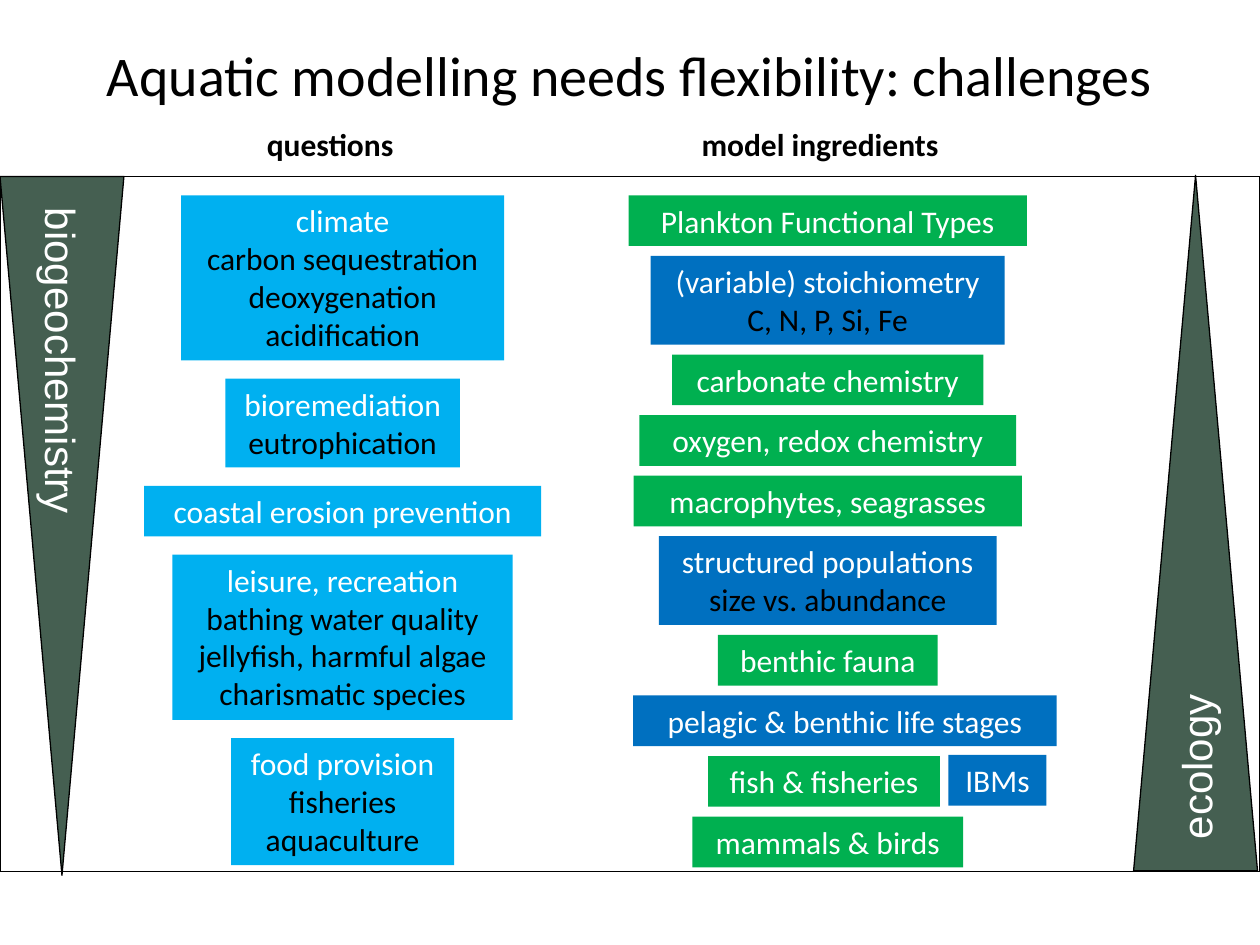
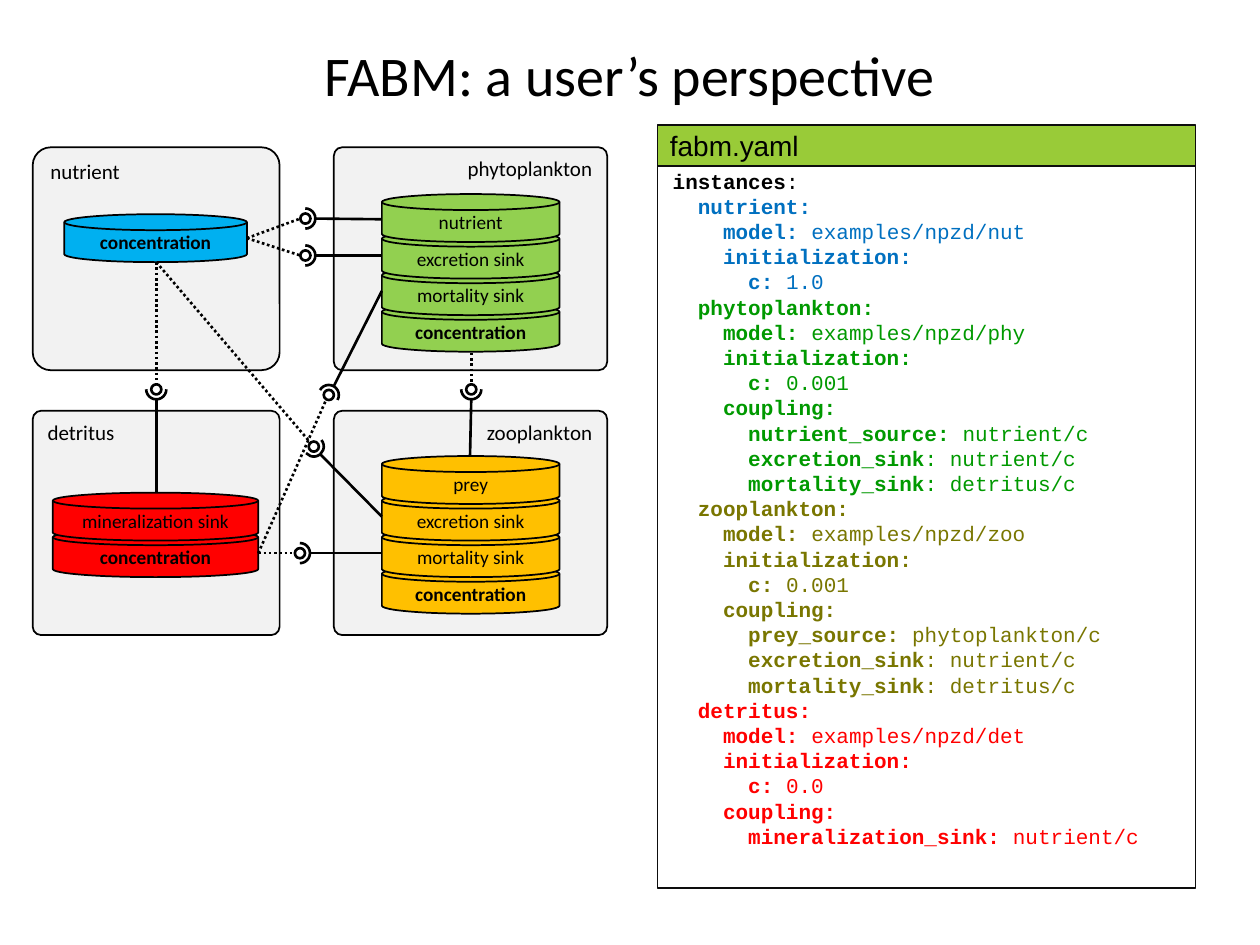
from math import cos, radians, sin

from lxml.etree import SubElement
from pptx import Presentation
from pptx.dml.color import RGBColor
from pptx.enum.dml import MSO_LINE
from pptx.enum.shapes import MSO_CONNECTOR, MSO_SHAPE
from pptx.enum.text import MSO_ANCHOR, PP_ALIGN
from pptx.oxml.ns import qn
from pptx.util import Pt

BLACK, WHITE = "000000", "FFFFFF"
SKY, GREEN, BLUE, PINE = "00B0F0", "00B050", "0070C0", "455F51"
LIME, AMBER, RED, CARD = "92D050", "FFC000", "FF0000", "F2F2F2"
HEADER, PANEL_LINE = "99CB38", "0D0D0D"
LEFT, CENTER, RIGHT = PP_ALIGN.LEFT, PP_ALIGN.CENTER, PP_ALIGN.RIGHT

QUESTIONS = [
    (184.5, ["climate", "carbon sequestration", "deoxygenation", "acidification"]),
    (134, ["bioremediation", "eutrophication"]),
    (226.8, ["coastal erosion prevention"]),
    (194.4, ["leisure, recreation", "bathing water quality",
             "jellyfish, harmful algae", "charismatic species"]),
    (127.5, ["food provision", "fisheries", "aquaculture"]),
]

INGREDIENTS = [
    (473, 227.5, GREEN, ["Plankton Functional Types"]),
    (473, 202.3, BLUE, ["(variable) stoichiometry", "C, N, P, Si, Fe"]),
    (473, 178, GREEN, ["carbonate chemistry"]),
    (473, 215.3, GREEN, ["oxygen, redox chemistry"]),
    (473, 221.8, GREEN, ["macrophytes, seagrasses"]),
    (473, 193, BLUE, ["structured populations", "size vs. abundance"]),
    (473, 125.5, GREEN, ["benthic fauna"]),
    (482.8, 242, BLUE, ["pelagic & benthic life stages"]),
    (470.9, 132.5, GREEN, ["fish & fisheries"]),
    (473, 154.8, GREEN, ["mammals & birds"]),
]

# Bold key and regular value are parted by a bar.
YAML = [
    (BLACK, "instances|:"),
    (BLUE, """\
  nutrient:
    model:| examples/npzd/nut
    initialization:
      c:| 1.0"""),
    ("009900", """\
  phytoplankton:
    model:| examples/npzd/phy
    initialization:
      c:| 0.001
    coupling:
      nutrient_source:| nutrient/c
      excretion_sink|: nutrient/c
      mortality_sink|: detritus/c"""),
    ("797600", """\
  zooplankton:
    model:| examples/npzd/zoo
    initialization:
      c:| 0.001
    coupling:
      prey_source:| phytoplankton/c
      excretion_sink|: nutrient/c
      mortality_sink|: detritus/c"""),
    (RED, """\
  detritus:
    model:| examples/npzd/det
    initialization:
      c:| 0.0
    coupling:
      mineralization_sink:| nutrient/c"""),
]


def rgb(value):
    return RGBColor.from_string(value)


def style_font(font, size, color, name="Calibri", bold=False):
    font.size, font.name, font.bold = Pt(size), name, bold
    font.color.rgb = rgb(color)


def add_box(s, kind, box, fill=None, line=None, weight=1):
    sp = s.shapes.add_shape(kind, *map(Pt, box))
    sp.shadow.inherit = False
    if fill:
        sp.fill.solid()
        sp.fill.fore_color.rgb = rgb(fill)
    else:
        sp.fill.background()
    if line:
        sp.line.color.rgb = rgb(line)
        sp.line.width = Pt(weight)
    else:
        sp.line.fill.background()
    return sp


def write(sp, lines, size, colors=(BLACK,), align=CENTER, anchor=MSO_ANCHOR.TOP,
          name="Calibri", bold=False, wrap=True):
    tf = sp.text_frame
    tf.word_wrap, tf.vertical_anchor = wrap, anchor
    for i, text in enumerate(lines):
        p = tf.paragraphs[0] if i == 0 else tf.add_paragraph()
        p.text, p.alignment = text, align
        style_font(p.font, size, colors[min(i, len(colors) - 1)], name, bold)
    return tf


def add_text(s, box, text, size, **options):
    return write(s.shapes.add_textbox(*map(Pt, box)), [text], size, **options)


def add_slide(prs, title):
    s = prs.slides.add_slide(prs.slide_layouts[6])
    add_text(s, (36, 19.4, 648, 46), title, 32, anchor=MSO_ANCHOR.MIDDLE)
    return s


def add_topic(s, center, top, width, fill, lines):
    height = 7.2 + 21.8 * len(lines)
    sp = add_box(s, MSO_SHAPE.RECTANGLE, (center - width / 2, top, width, height), fill)
    write(sp, lines, 18, (WHITE, BLACK), wrap=False)
    return top + height


def add_wedge(s, box, text, rotation=0):
    sp = add_box(s, MSO_SHAPE.ISOSCELES_TRIANGLE, box, PINE, BLACK, 0.75)
    sp.rotation = rotation
    tf = write(sp, [text], 24, (WHITE,), LEFT, MSO_ANCHOR.MIDDLE, "Arial")
    tf.margin_left = tf.margin_right = tf.margin_top = tf.margin_bottom = 0
    tf._txBody.bodyPr.set("vert", "vert270")
    tf.paragraphs[0]._p.get_or_add_pPr().set("marL", str(Pt(18)))


def add_line(s, start, end, dash=None):
    c = s.shapes.add_connector(MSO_CONNECTOR.STRAIGHT, *map(Pt, start + end))
    c.line.color.rgb, c.line.width = rgb(BLACK), Pt(1.5)
    if dash:
        c.line.dash_style = dash
    SubElement(c._element.spPr, qn("a:effectLst"))


def add_card(s, box, label, align, corner=0.038):
    sp = add_box(s, MSO_SHAPE.ROUNDED_RECTANGLE, box, CARD, BLACK)
    sp.adjustments[0] = corner
    write(sp, [label], 12, align=align)


def add_stack(s, left, top, width, fill, labels):
    for i, label in reversed(list(enumerate(labels))):
        sp = add_box(s, MSO_SHAPE.FLOWCHART_MAGNETIC_DISK,
                     (left, top + 20.9 * i, width, 27.4), fill, BLACK)
        tf = write(sp, [label], 11, anchor=MSO_ANCHOR.MIDDLE,
                   bold=label == "concentration")
        tf.margin_top = tf.margin_bottom = 0


def add_coupling(s, source, center, angle, target):
    def along(distance):
        return (center[0] + distance * cos(radians(angle)),
                center[1] + distance * sin(radians(angle)))

    def around(radius):
        return center[0] - radius, center[1] - radius, 2 * radius, 2 * radius

    ball, socket = 2.9, 5.75
    add_line(s, source, along(-ball), MSO_LINE.ROUND_DOT)
    add_box(s, MSO_SHAPE.OVAL, around(ball), None, BLACK, 1.5)
    arc = add_box(s, MSO_SHAPE.ARC, around(socket), None, BLACK, 1.5)
    arc.adjustments[0], arc.adjustments[1] = 270 * 0.6, 90 * 0.6
    arc.rotation = angle
    add_line(s, along(socket), target)


def add_code(s, box, sections):
    tf = s.shapes.add_textbox(*map(Pt, box)).text_frame
    tf.word_wrap = True
    rows = [(color, row) for color, text in sections for row in text.split("\n")]
    for i, (color, row) in enumerate(rows):
        p = tf.add_paragraph() if i else tf.paragraphs[0]
        p.line_spacing = Pt(12)
        p.space_before = Pt(2.4 if i else 0)
        style_font(p.font, 12, color, "Courier New")
        for part, bold in zip(row.split("|"), (True, False)):
            r = p.add_run()
            r.text, r.font.bold = part, bold


def build_challenges(prs):
    s = add_slide(prs, "Aquatic modelling needs flexibility: challenges")
    add_box(s, MSO_SHAPE.RECTANGLE, (0, 100.8, 720, 397.4), None, BLACK, 0.75)
    for left, width, heading in ((145.4, 100, "questions"),
                                 (393.8, 171.4, "model ingredients")):
        add_text(s, (left, 67.7, width, 29), heading, 18, align=LEFT, bold=True)
    top = 111.6
    for width, lines in QUESTIONS:
        top = add_topic(s, 195.8, top, width, SKY, lines) + 10.4
    top = 111.6
    for center, width, fill, lines in INGREDIENTS:
        top = add_topic(s, center, top, width, fill, lines) + 5.6
    add_topic(s, 570, 431.4, 56, BLUE, ["IBMs"])
    add_wedge(s, (647.8, 100.2, 70.8, 397.4), "ecology")
    add_wedge(s, (0, 100.8, 70.8, 399.4), "biogeochemistry", 180)


def build_perspective(prs):
    s = add_slide(prs, "FABM: a user’s perspective")
    add_card(s, (18.7, 84.2, 141.1, 127.4), "nutrient", LEFT, 0.081)
    add_card(s, (190.8, 84.2, 156.2, 127.4), "phytoplankton", RIGHT)
    add_card(s, (18.7, 234.7, 141.1, 128.2), "detritus", LEFT)
    add_card(s, (190.8, 234.7, 156.2, 128.2), "zooplankton", RIGHT)

    sinks = ["excretion sink", "mortality sink", "concentration"]
    add_stack(s, 36.7, 122.4, 104.4, SKY, ["concentration"])
    add_stack(s, 218.2, 110.9, 101.5, LIME, ["nutrient"] + sinks)
    add_stack(s, 30.2, 281.5, 117.4, RED, ["mineralization sink", "concentration"])
    add_stack(s, 218.2, 260.6, 101.5, AMBER, ["prey"] + sinks)

    nutrient_side, nutrient_base = (141.1, 136.1), (89.3, 149.8)
    detritus_side, phyto_base = (147.6, 316.1), (269.3, 201.6)
    for coupling in (
        (nutrient_side, (174.5, 124.9), 0, (218.2, 125.3)),
        (nutrient_side, (174.5, 146), 0, (218.2, 146)),
        (detritus_side, (171.4, 316.1), 0, (218.2, 316.1)),
        (nutrient_base, (89.3, 222.5), 90, (89.3, 281.5)),
        (phyto_base, (269.3, 222.5), 90, (268.6, 260.6)),
        (detritus_side, (187.9, 225.7), -60.5, (218.2, 166.3)),
        (nutrient_base, (179.3, 255.2), 49.7, (218.2, 295.2)),
    ):
        add_coupling(s, *coupling)

    add_box(s, MSO_SHAPE.RECTANGLE, (375.8, 73.4, 307.4, 434.2), None, PANEL_LINE)
    add_code(s, (377.3, 95, 306, 407.5), YAML)
    header = add_box(s, MSO_SHAPE.RECTANGLE, (375.8, 71.3, 307.4, 23.8),
                     HEADER, PANEL_LINE)
    write(header, ["fabm.yaml"], 16, align=LEFT, anchor=MSO_ANCHOR.MIDDLE, name="Arial")


def main():
    prs = Presentation()
    prs.slide_width, prs.slide_height = Pt(720), Pt(540)
    build_challenges(prs)
    build_perspective(prs)
    prs.save("out.pptx")


if __name__ == "__main__":
    main()
